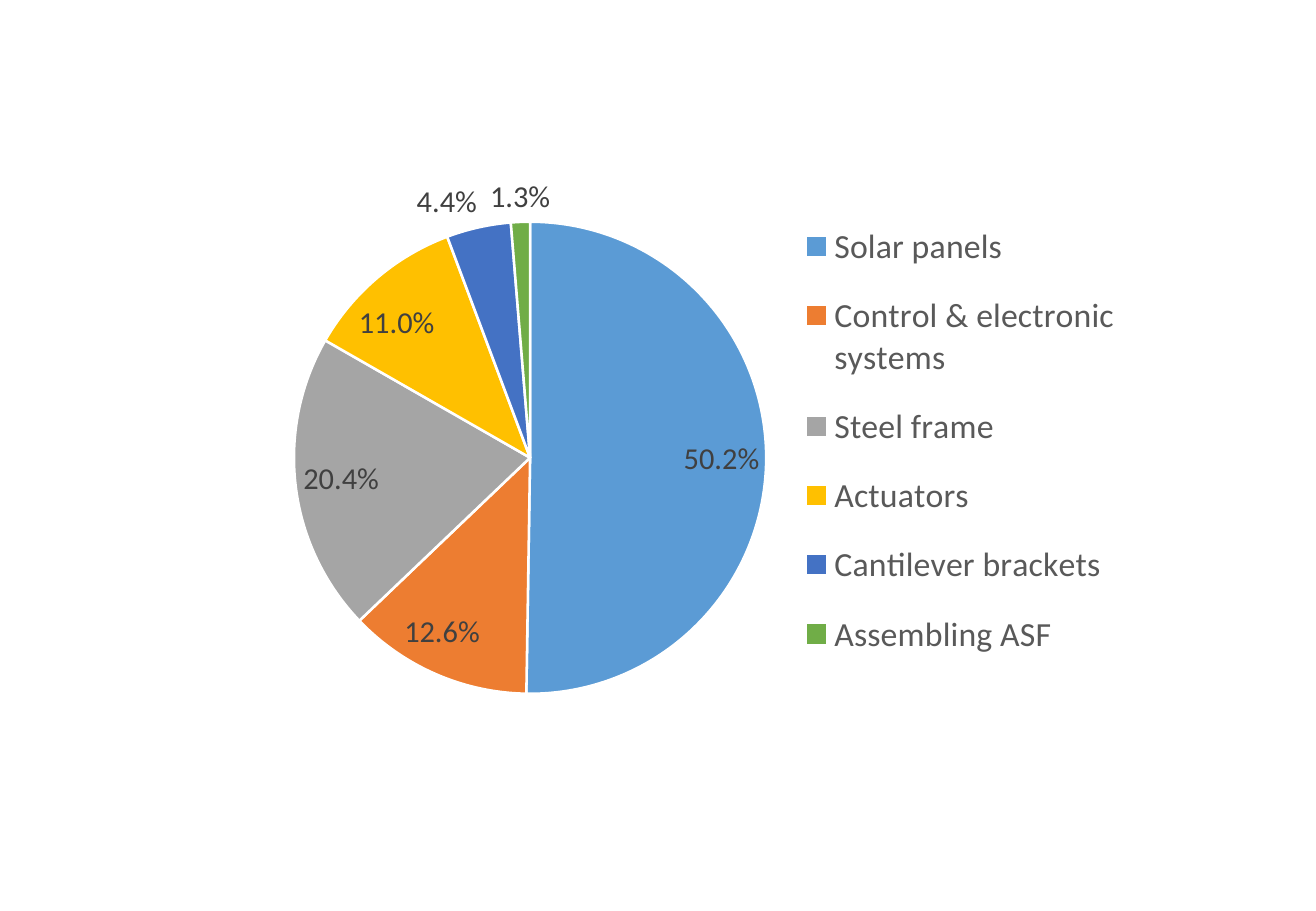
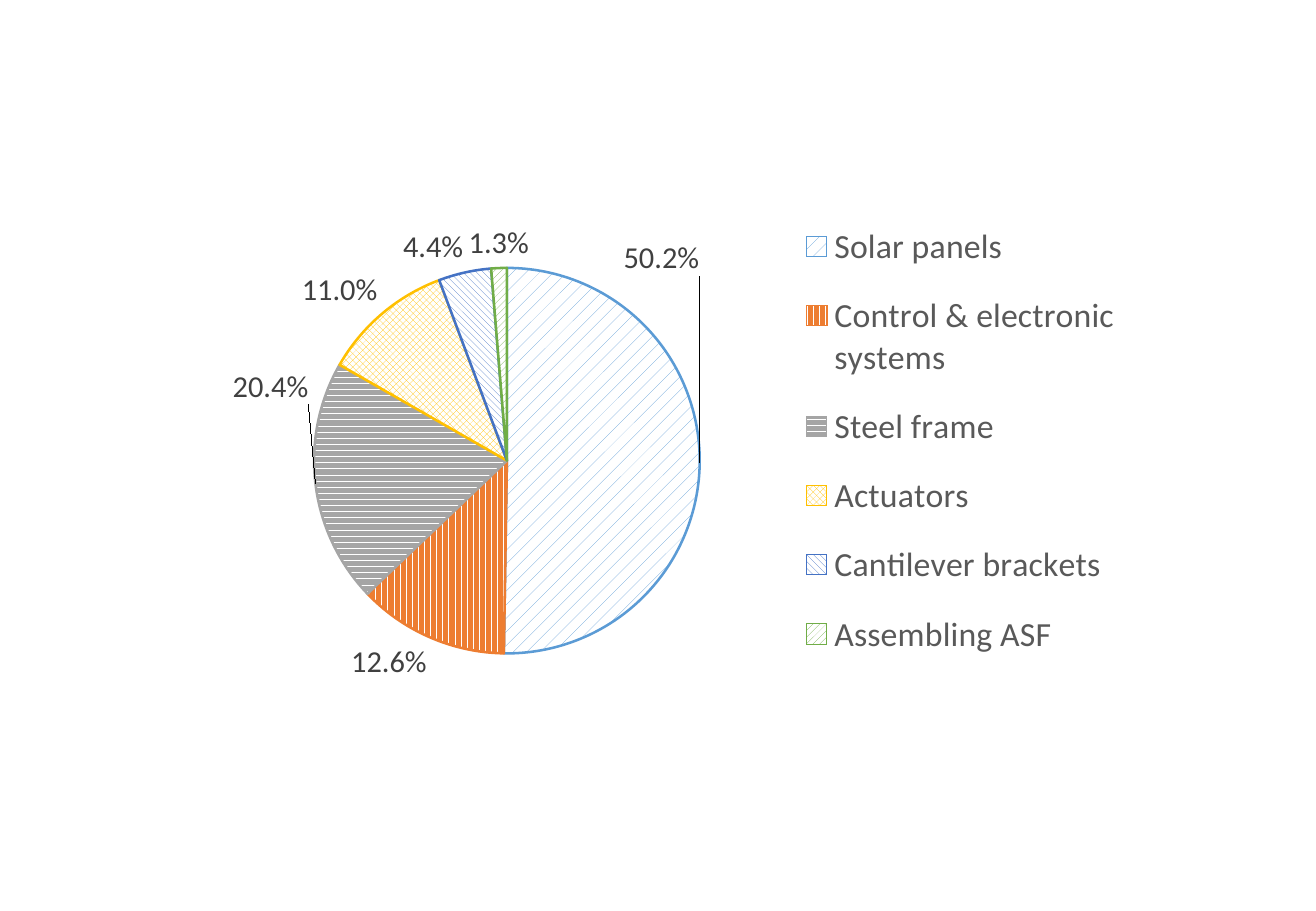
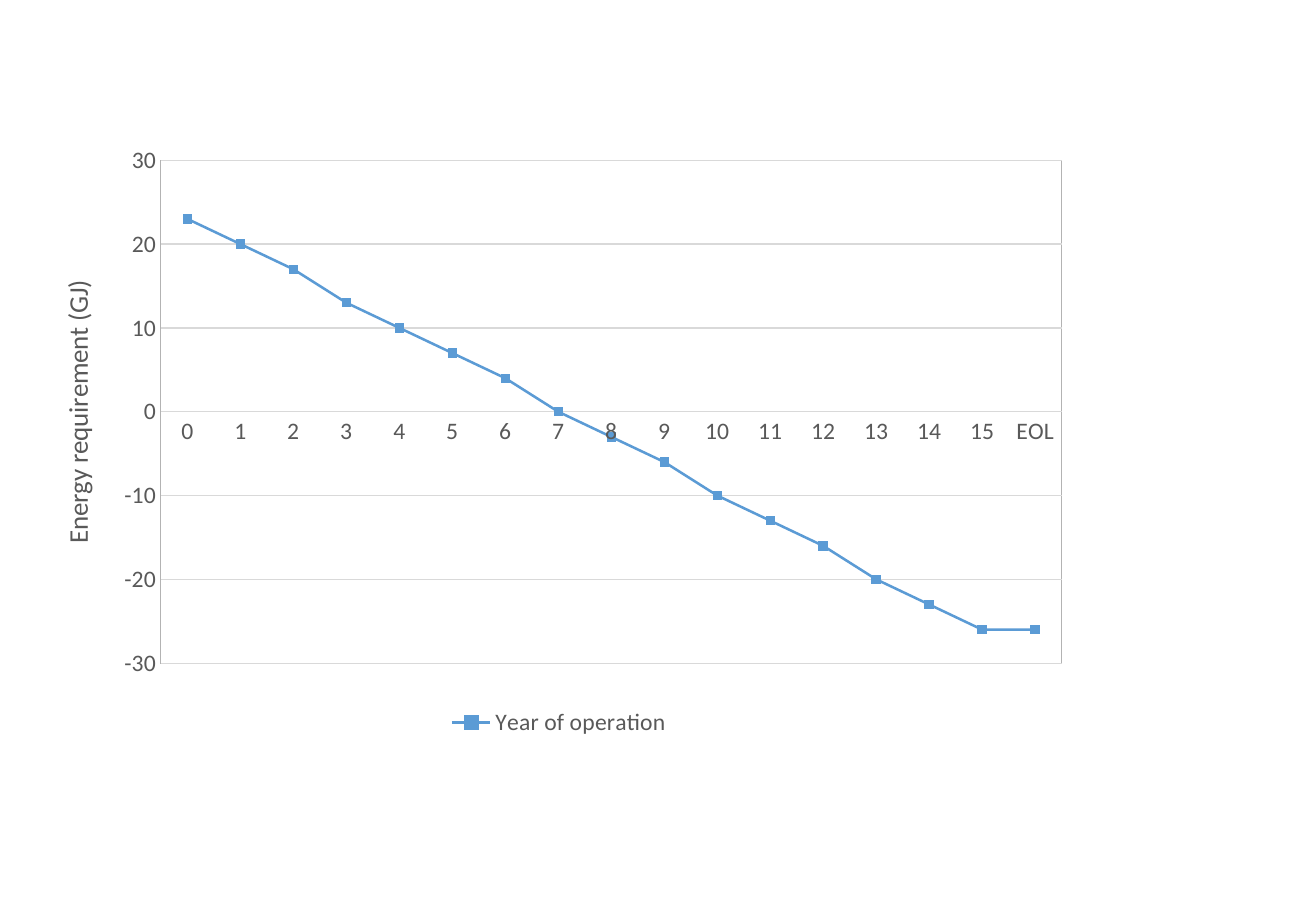
from dataclasses import dataclass, field
from typing import Any

from pptx import Presentation
from pptx.chart.chart import Chart
from pptx.chart.data import CategoryChartData
from pptx.dml.color import RGBColor
from pptx.enum.chart import (XL_CHART_TYPE, XL_LABEL_POSITION,
                             XL_LEGEND_POSITION, XL_TICK_MARK)
from pptx.enum.dml import MSO_PATTERN
from pptx.oxml import parse_xml
from pptx.oxml.ns import nsdecls, qn
from pptx.util import Pt

PIE, LINE = XL_CHART_TYPE.PIE, XL_CHART_TYPE.LINE
BEST, OUTER = XL_LABEL_POSITION.BEST_FIT, XL_LABEL_POSITION.OUTSIDE_END
RIGHT, BOTTOM = XL_LEGEND_POSITION.RIGHT, XL_LEGEND_POSITION.BOTTOM
NO_TICK = XL_TICK_MARK.NONE
PCT, VERT, HORZ = (MSO_PATTERN.PERCENT_10, MSO_PATTERN.DARK_VERTICAL,
                   MSO_PATTERN.DARK_HORIZONTAL)
CHECK, DOWN, UP = (MSO_PATTERN.LARGE_CHECKER_BOARD,
                   MSO_PATTERN.WIDE_DOWNWARD_DIAGONAL,
                   MSO_PATTERN.WIDE_UPWARD_DIAGONAL)

SCALE = 9144  # EMU in one px, 100 px to the inch
SIZE = (1083, 750)
Box = tuple[float, ...]


@dataclass(frozen=True)
class Theme:
    face: str = "Calibri"
    ink: str = "000000"
    text: str = "595959"
    label: str = "404040"
    grid: str = "D9D9D9"
    frame: str = "B3B3B3"
    white: str = "FFFFFF"
    base: int = 10
    axis: int = 14
    title: int = 16
    value: int = 18
    key: int = 20
    thin: float = 0.75
    thick: float = 1.5


THEME = Theme()


@dataclass(frozen=True)
class Part:
    name: str
    share: float
    color: str
    hatch: Any


@dataclass(frozen=True)
class Pie:
    plot: Box
    spot: Any
    hatched: bool = False
    moves: dict[int, Box] = field(default_factory=dict)


PARTS = (
    Part("Solar panels", 0.502, "5B9BD5", PCT),
    Part("Control & electronic systems", 0.126, "ED7D31", VERT),
    Part("Steel frame", 0.204, "A5A5A5", HORZ),
    Part("Actuators", 0.11, "FFC000", CHECK),
    Part("Cantilever brackets", 0.044, "4472C4", DOWN),
    Part("Assembling ASF", 0.013, "70AD47", UP),
)
PIES = (
    Pie((0.08, 0.1, 0.51, 0.81), BEST),
    Pie((0.1, 0.18, 0.42, 0.66), OUTER, True,
        {0: (-0.09, -0.35), 2: (0, -0.2)}),
)
PIE_BOX = (181, 134, 762, 481)
KEY_BOX = (0.62, 0.06, 0.36, 0.83)
LINE_BOX = (29, 112, 862, 499)
LINE_PLOT = (0.12, 0.04, 0.86, 0.83)
YEARS = [str(year) for year in range(16)] + ["EOL"]
ENERGY = (23, 20, 17, 13, 10, 7, 4, 0, -3, -6, -10, -13, -16, -20, -23, -26, -26)


def put(item: Any, form: dict[str, Any]) -> None:
    for name, value in form.items():
        setattr(item, name, value)


def type_set(font: Any, size: int, color: str) -> None:
    put(font, {"name": THEME.face, "size": Pt(size), "bold": False})
    font.color.rgb = RGBColor.from_string(color)


def stroke(line: Any, color: str, width: float) -> None:
    line.color.rgb = RGBColor.from_string(color)
    line.width = Pt(width)


def place(node: Any, index: int, box: Box, inner: bool = False) -> None:
    """Set a manual layout; a box of two numbers is a shift from the default."""
    for old in node.findall(qn("c:layout")):
        node.remove(old)
    tags = [("layoutTarget", "inner")] if inner else []
    if len(box) == 4:
        tags += [("xMode", "edge"), ("yMode", "edge")]
    tags += list(zip("xywh", box))
    body = "".join(f'<c:{tag} val="{value}"/>' for tag, value in tags)
    node.insert(index, parse_xml(
        f'<c:layout {nsdecls("c")}><c:manualLayout>{body}'
        '</c:manualLayout></c:layout>'))


def area(chart: Chart) -> Any:
    return chart._chartSpace.xpath("c:chart/c:plotArea")[0]


def add_chart(deck: Any, kind: Any, box: Box, data: CategoryChartData,
              plot: Box, side: Any, size: int) -> Chart:
    """Add a blank slide with one chart and its legend."""
    slide = deck.slides.add_slide(deck.slide_layouts[6])
    chart = slide.shapes.add_chart(kind, *(n * SCALE for n in box), data).chart
    put(chart, {"has_title": False, "has_legend": True})
    type_set(chart.font, THEME.base, THEME.ink)
    put(chart.legend, {"position": side, "include_in_layout": False})
    type_set(chart.legend.font, size, THEME.text)
    place(area(chart), 0, plot, True)
    return chart


def paint(form: Any, part: Part, hatched: bool) -> None:
    color = RGBColor.from_string(part.color)
    fill = form.fill
    if hatched:
        fill.patterned()
        fill.pattern = part.hatch
        fill.fore_color.rgb = color
        fill.back_color.rgb = RGBColor.from_string(THEME.white)
    else:
        fill.solid()
        fill.fore_color.rgb = color
    stroke(form.line, part.color if hatched else THEME.white, THEME.thick)


def add_pie(deck: Any, pie: Pie) -> None:
    data = CategoryChartData(number_format="0.0%")
    data.categories = [part.name for part in PARTS]
    data.add_series("Series 1", [part.share for part in PARTS])
    chart = add_chart(deck, PIE, PIE_BOX, data, pie.plot, RIGHT, THEME.key)
    place(chart.legend._element, 1, KEY_BOX)
    chart.plots[0].vary_by_categories = True
    series = chart.plots[0].series[0]
    labels = series.data_labels
    put(labels, {"show_value": True, "number_format": "0.0%",
                 "number_format_is_linked": False, "position": pie.spot})
    type_set(labels.font, THEME.value, THEME.label)
    for index, part in enumerate(PARTS):
        paint(series.points[index].format, part, pie.hatched)
    for index, move in pie.moves.items():
        label = series.points[index].data_label
        type_set(label.font, THEME.value, THEME.label)
        label.position = pie.spot
        node = chart._chartSpace.xpath(f".//c:dLbl[c:idx/@val='{index}']")[0]
        place(node, 1, move)


def add_line(deck: Any) -> None:
    data = CategoryChartData()
    data.categories = YEARS
    data.add_series("Year of operation", ENERGY)
    chart = add_chart(deck, LINE, LINE_BOX, data, LINE_PLOT, BOTTOM, THEME.axis)
    area(chart).append(parse_xml(
        f'<c:spPr {nsdecls("c", "a")}><a:noFill/><a:ln><a:solidFill>'
        f'<a:srgbClr val="{THEME.frame}"/></a:solidFill></a:ln></c:spPr>'))
    series = chart.plots[0].series[0]
    series.smooth = False
    series.marker.style = None
    stroke(series.format.line, PARTS[0].color, THEME.thick)
    years, energy = chart.category_axis, chart.value_axis
    for axis in (years, energy):
        put(axis, {"major_tick_mark": NO_TICK, "minor_tick_mark": NO_TICK})
        type_set(axis.tick_labels.font, THEME.axis, THEME.text)
    stroke(years.format.line, THEME.grid, THEME.thin)
    put(energy, {"minimum_scale": -30, "maximum_scale": 30, "major_unit": 10,
                 "has_major_gridlines": True, "has_title": True})
    energy.format.line.fill.background()
    stroke(energy.major_gridlines.format.line, THEME.grid, THEME.thin)
    frame = energy.axis_title.text_frame
    frame.text = "Energy requirement (GJ)"
    type_set(frame.paragraphs[0].runs[0].font, THEME.title, THEME.text)


def main() -> None:
    deck = Presentation()
    deck.slide_width, deck.slide_height = (n * SCALE for n in SIZE)
    for pie in PIES:
        add_pie(deck, pie)
    add_line(deck)
    deck.save("out.pptx")


if __name__ == "__main__":
    main()
